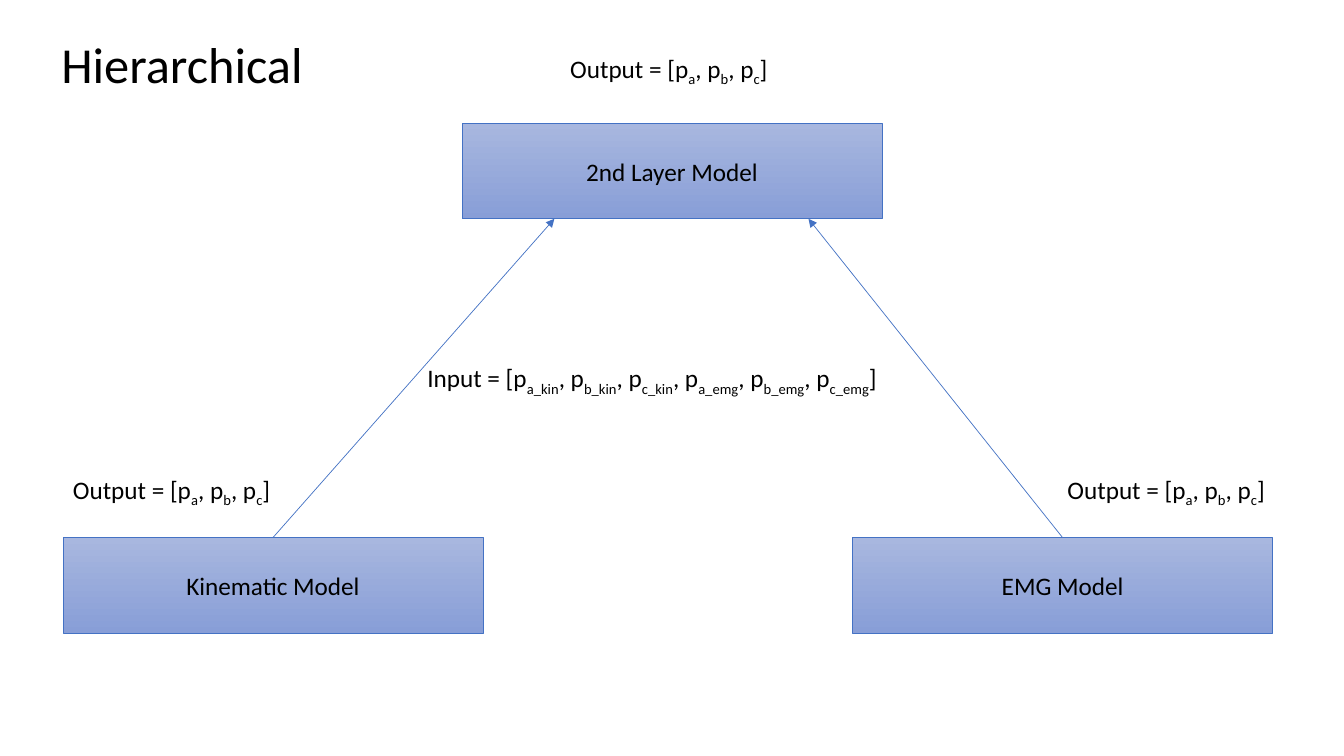
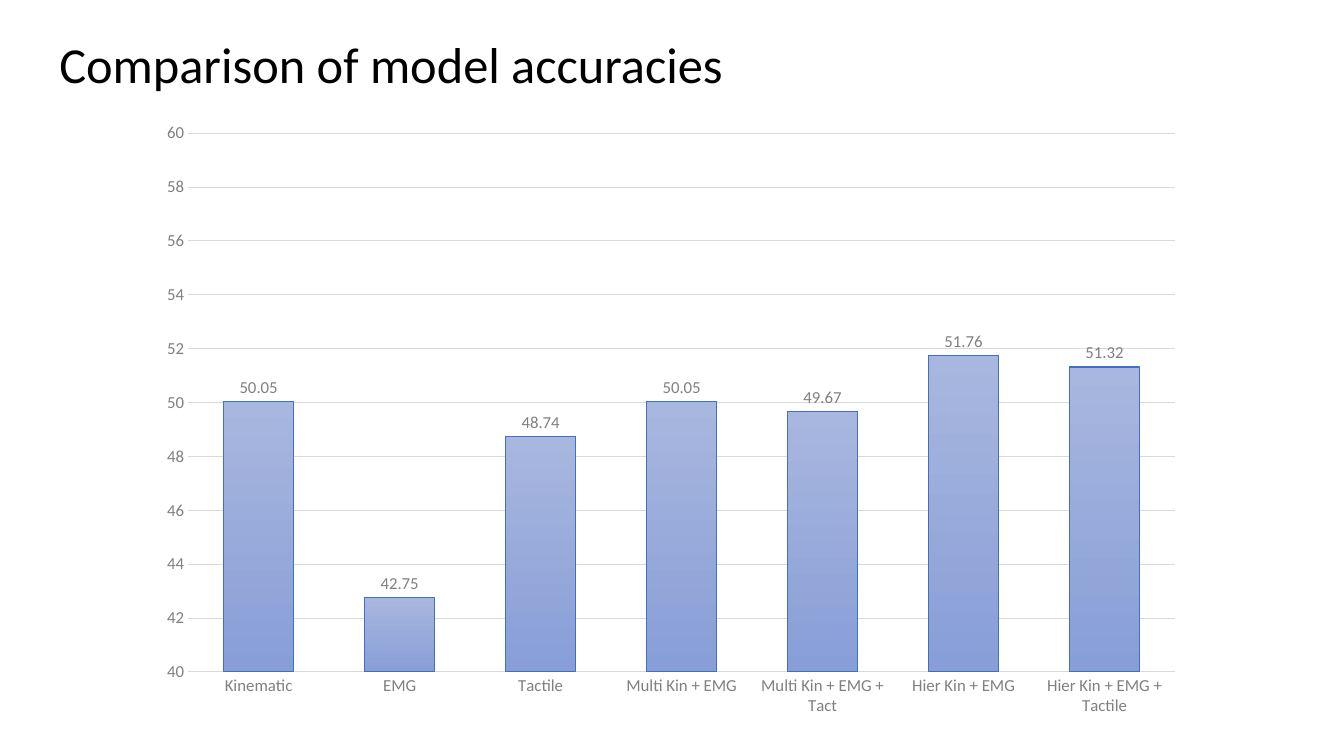
from lxml import etree
from pptx import Presentation
from pptx.chart.data import CategoryChartData
from pptx.dml.color import RGBColor
from pptx.enum.chart import XL_CHART_TYPE, XL_LABEL_POSITION, XL_TICK_MARK
from pptx.enum.shapes import MSO_CONNECTOR, MSO_SHAPE
from pptx.enum.text import MSO_ANCHOR, MSO_AUTO_SIZE, PP_ALIGN
from pptx.oxml.ns import qn
from pptx.util import Inches, Pt

COLUMN_CLUSTERED = XL_CHART_TYPE.COLUMN_CLUSTERED
OUTSIDE_END = XL_LABEL_POSITION.OUTSIDE_END
NO_TICK = XL_TICK_MARK.NONE
STRAIGHT = MSO_CONNECTOR.STRAIGHT
RECTANGLE = MSO_SHAPE.RECTANGLE
MIDDLE, TOP = MSO_ANCHOR.MIDDLE, MSO_ANCHOR.TOP
NO_AUTOFIT = MSO_AUTO_SIZE.NONE
CENTER, LEFT = PP_ALIGN.CENTER, PP_ALIGN.LEFT

COLUMNS, ROWS = 32, 18
CELL = Inches(13.333) / COLUMNS
FONT = "Calibri"
BLACK, GRAY, LIGHT_GRAY = "000000", "808080", "D9D9D9"
BLUE, BAR_EDGE = "4472C4", "436FC0"
GRADIENT = ("A8B7DF", "889ED7")
BOX_WIDTH, BOX_HEIGHT = 10, 2.28
LABEL_HEIGHT = 0.96
TOP_SITE = 0

ACCURACIES = {
    "Kinematic": 50.05,
    "EMG": 42.75,
    "Tactile": 48.74,
    "Multi Kin + EMG": 50.05,
    "Multi Kin + EMG + Tact": 49.67,
    "Hier Kin + EMG": 51.76,
    "Hier Kin + EMG + Tactile": 51.32,
}


def grid(*cells):
    return [round(cell * CELL) for cell in cells]


def color(value):
    return RGBColor.from_string(value)


def style_font(font, size, value=BLACK):
    font.name = FONT
    font.size = Pt(size)
    font.color.rgb = color(value)


def style_line(line, value, width):
    line.color.rgb = color(value)
    line.width = Pt(width)


def style_gradient(fill):
    fill.gradient()
    fill.gradient_angle = 270
    for stop, value in zip(fill.gradient_stops, GRADIENT):
        stop.color.rgb = color(value)


def write_runs(shape, runs, size, alignment, anchor):
    frame = shape.text_frame
    frame.word_wrap = True
    frame.auto_size = NO_AUTOFIT
    frame.vertical_anchor = anchor
    paragraph = frame.paragraphs[0]
    paragraph.alignment = alignment
    for text, is_subscript in runs:
        run = paragraph.add_run()
        run.text = text
        style_font(run.font, size)
        if is_subscript:
            run._r.get_or_add_rPr().set("baseline", "-25000")


def add_titled_slide(presentation, title, width):
    slide = presentation.slides.add_slide(presentation.slide_layouts[5])
    shape = slide.shapes.title
    shape.left, shape.top, shape.width, shape.height = grid(1, 0.67, width, 1.7)
    write_runs(shape, [(title, False)], 36, CENTER, TOP)
    return slide


def add_model(slide, name, left, top):
    box = slide.shapes.add_shape(RECTANGLE, *grid(left, top, BOX_WIDTH, BOX_HEIGHT))
    box.shadow.inherit = False
    style_gradient(box.fill)
    style_line(box.line, BLUE, 0.5)
    write_runs(box, [(name, False)], 18, CENTER, MIDDLE)
    return box


def add_vector(slide, name, subscripts, left, top, width):
    runs = []
    opening = f"{name} = [p"
    for subscript in subscripts:
        runs += [(opening, False), (subscript, True)]
        opening = ", p"
    runs.append(("]", False))
    label = slide.shapes.add_textbox(*grid(left, top, width, LABEL_HEIGHT))
    write_runs(label, runs, 18, LEFT, TOP)


def add_arrow(slide, box, left, top):
    end = grid(left, top)
    arrow = slide.shapes.add_connector(STRAIGHT, box.left, box.top, *end)
    arrow.begin_connect(box, TOP_SITE)
    style_line(arrow.line, BLUE, 0.5)
    etree.SubElement(arrow.line._get_or_add_ln(), qn("a:tailEnd"), type="triangle")
    etree.SubElement(arrow._element.spPr, qn("a:effectLst"))


def add_accuracy_chart(slide):
    data = CategoryChartData()
    data.categories = list(ACCURACIES)
    data.add_series("Series 1", list(ACCURACIES.values()))
    frame = slide.shapes.add_chart(COLUMN_CLUSTERED, *grid(3.48, 2.64, 25, 14.7), data)
    chart = frame.chart
    chart.has_legend = False
    chart.has_title = False
    style_font(chart.font, 10)

    for axis in (chart.category_axis, chart.value_axis):
        axis.major_tick_mark = NO_TICK
        axis.minor_tick_mark = NO_TICK
        style_font(axis.tick_labels.font, 12, GRAY)
    style_line(chart.category_axis.format.line, LIGHT_GRAY, 0.75)

    value_axis = chart.value_axis
    value_axis.minimum_scale = 40
    value_axis.maximum_scale = 60
    value_axis.major_unit = 2
    value_axis.format.line.fill.background()
    style_line(value_axis.major_gridlines.format.line, LIGHT_GRAY, 0.75)

    plot = chart.plots[0]
    plot.vary_by_categories = False
    plot.gap_width = 100
    plot.overlap = -24
    series = plot.series[0]
    style_gradient(series.format.fill)
    style_line(series.format.line, BAR_EDGE, 0.75)
    labels = series.data_labels
    labels.show_value = True
    labels.position = OUTSIDE_END
    style_font(labels.font, 12, GRAY)


def build_hierarchy(presentation):
    slide = add_titled_slide(presentation, "Hierarchical", 6.67)
    upper_top, lower_top = 2.93, 12.8
    kinematic = add_model(slide, "Kinematic Model", 1.5, lower_top)
    emg = add_model(slide, "EMG Model", 20.3, lower_top)
    add_model(slide, "2nd Layer Model", 11, upper_top)

    for box, target in ((kinematic, 13.2), (emg, 19.25)):
        add_arrow(slide, box, target, upper_top + BOX_HEIGHT)

    classes = ("a", "b", "c")
    for left, top in ((1.5, 11.18), (25.18, 11.18), (13.34, 1.15)):
        add_vector(slide, "Output", classes, left, top, 5.33)
    inputs = [f"{name}_{source}" for source in ("kin", "emg") for name in classes]
    add_vector(slide, "Input", inputs, 9.94, 8.52, 12.12)


def build_comparison(presentation):
    slide = add_titled_slide(presentation, "Comparison of model accuracies", 16.63)
    add_accuracy_chart(slide)


def main():
    presentation = Presentation()
    presentation.slide_width, presentation.slide_height = grid(COLUMNS, ROWS)
    build_hierarchy(presentation)
    build_comparison(presentation)
    presentation.save("out.pptx")


if __name__ == "__main__":
    main()
